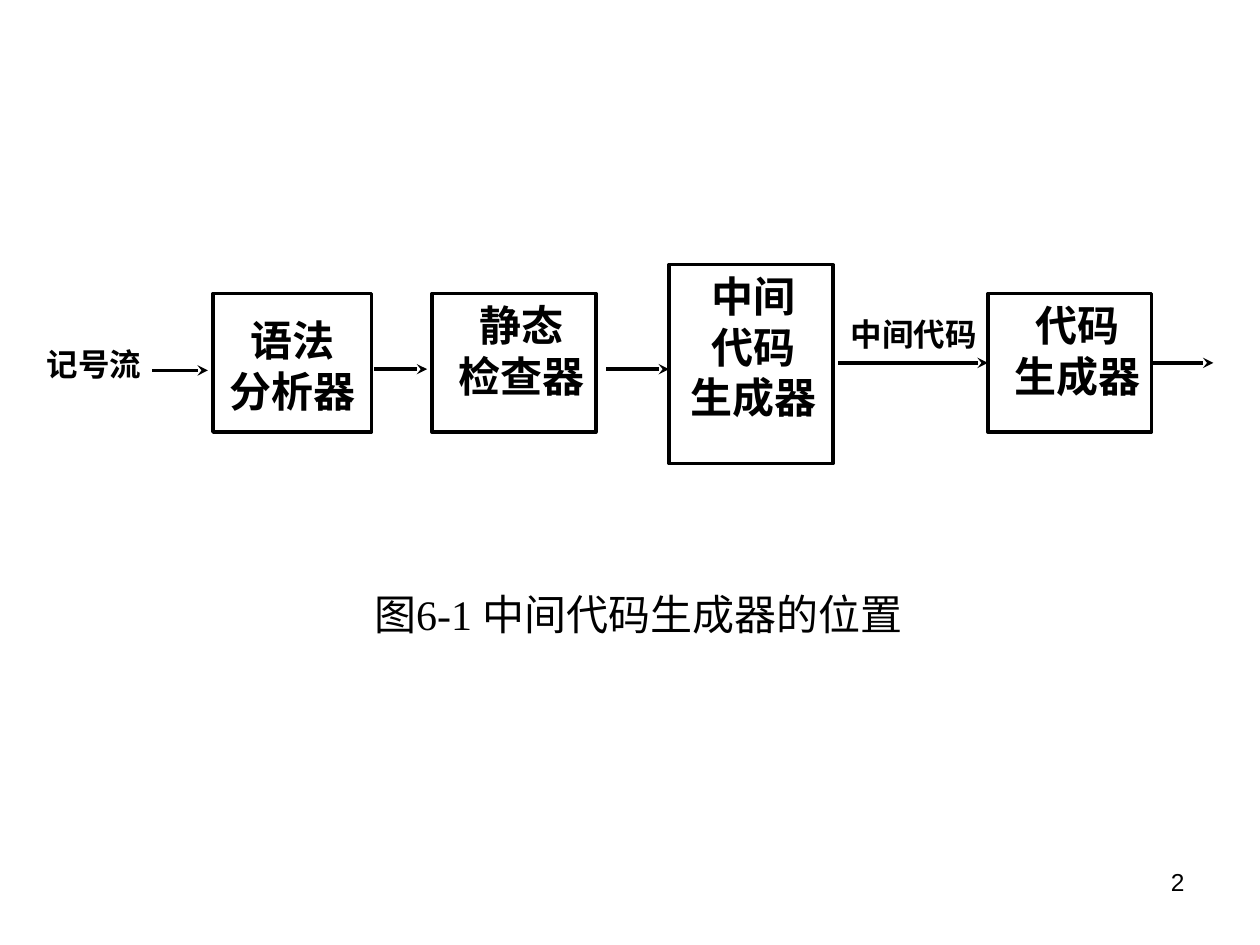
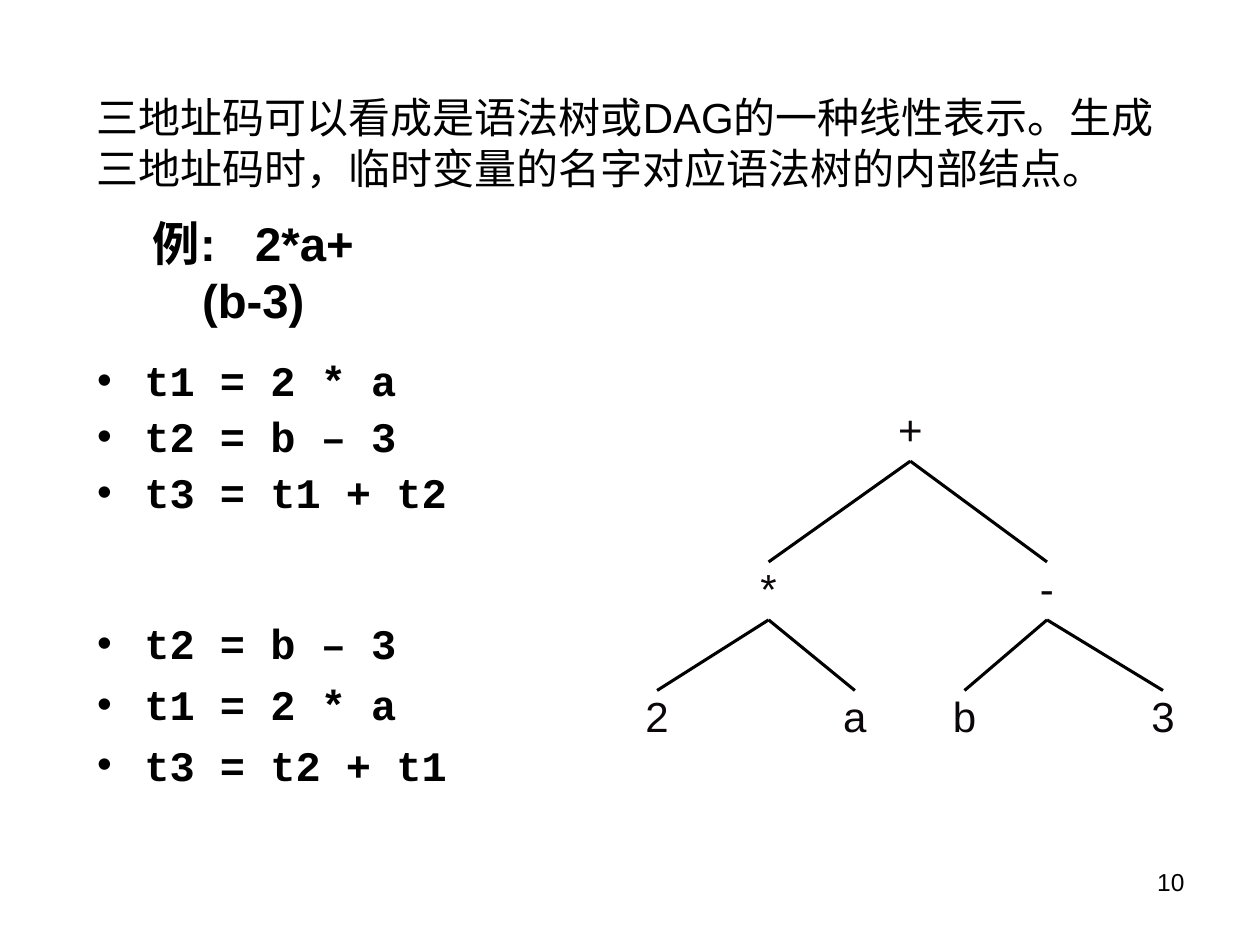
from lxml.etree import SubElement
from pptx import Presentation
from pptx.dml.color import RGBColor
from pptx.enum.shapes import MSO_CONNECTOR, MSO_SHAPE
from pptx.enum.text import MSO_ANCHOR, MSO_AUTO_SIZE, PP_ALIGN
from pptx.oxml.ns import qn
from pptx.util import Pt

PX = 9144  # EMU per px, 100 px to the inch
BLACK, NODE_INK = "000000", "0A060A"
SANS, SERIF, MONO = "Arial", "Times New Roman", "Courier New"
INSETS = (10, 5, 10, 5)
LABEL_INSETS = (2, 1, 10, 5)
TITLE_ONLY, TWO_CONTENT, BLANK = 5, 3, 6
TOP, BOTTOM, LEFT, RIGHT = 0, 2, 1, 3


def rgb(color):
    return RGBColor.from_string(color)


def write(tf, lines, size=24, font=SANS, color=BLACK, bold=False, align=PP_ALIGN.LEFT,
          before=0, spacing=1.0, insets=INSETS, anchor=MSO_ANCHOR.TOP):
    """Fill a text frame, one paragraph per line; a line may be a list of runs."""
    tf.word_wrap = True
    tf.auto_size = MSO_AUTO_SIZE.NONE
    tf.vertical_anchor = anchor
    tf.margin_left, tf.margin_top, tf.margin_right, tf.margin_bottom = (v * PX for v in insets)
    for i, line in enumerate(lines):
        p = tf.add_paragraph() if i else tf.paragraphs[0]
        p.alignment = align
        p.line_spacing = spacing
        p.space_before = Pt(before if i else 0)
        for text in [line] if isinstance(line, str) else line:
            r = p.add_run()
            r.text = text
            r.font.size, r.font.name, r.font.bold = Pt(size), font, bold
            r.font.color.rgb = rgb(color)


class Deck:
    """Holds the presentation, its shared style and the current slide."""

    def __init__(self):
        self.prs = Presentation()
        self.prs.slide_width, self.prs.slide_height = 1000 * PX, 750 * PX
        self.s = None

    def slide(self, layout, number):
        self.s = self.prs.slides.add_slide(self.prs.slide_layouts[layout])
        self.text((717, 683, 233, 52), number, size=14, align=PP_ALIGN.RIGHT)

    def text(self, at, text, **fmt):
        sp = self.s.shapes.add_textbox(*(v * PX for v in at))
        write(sp.text_frame, [text], **fmt)
        return sp

    def box(self, at, lines, insets):
        sp = self.s.shapes.add_shape(MSO_SHAPE.RECTANGLE, *(v * PX for v in at))
        sp.shadow.inherit = False
        sp.fill.background()
        sp.line.color.rgb, sp.line.width = rgb(BLACK), Pt(2)
        write(sp.text_frame, lines, font=SERIF, bold=True, align=PP_ALIGN.CENTER, insets=insets)
        return sp

    def placeholder(self, idx, at, lines, **fmt):
        sp = self.s.placeholders[idx]
        sp.left, sp.top, sp.width, sp.height = (v * PX for v in at)
        write(sp.text_frame, lines, **fmt)
        return sp

    def line(self, start=(0, 0), end=(0, 0), begin=None, finish=None, width=2.0, arrow=False):
        """Draw a line; begin and finish are (shape, side) pairs to join."""
        c = self.s.shapes.add_connector(MSO_CONNECTOR.STRAIGHT, *(v * PX for v in start + end))
        if begin:
            c.begin_connect(*begin)
        if finish:
            c.end_connect(*finish)
        c.line.color.rgb, c.line.width = rgb(BLACK), Pt(width)
        if arrow:
            SubElement(c.line._get_or_add_ln(), qn("a:tailEnd"), type="stealth")
        SubElement(c._element.spPr, qn("a:effectLst"))


def position_slide(deck):
    deck.slide(BLANK, "2")
    deck.text((287, 462, 465, 50), "图6-1 中间代码生成器的位置", font=SERIF)

    deck.box((169, 233, 126, 110), ["语法", "分析器"], (10, 17, 10, 5))
    deck.box((343, 233, 130, 110), ["静态", "检查器"], (14, 5, 2, 1))
    deck.box((531, 210, 130, 158), ["中间", "代码", "生成器"], (6, 5, 2, 1))
    generator = deck.box((784, 233, 130, 110), ["代码", "生成器"], (14, 5, 2, 1))

    for at, label in [((35, 273, 105, 38), "记号流"), ((673, 249, 119, 45), "中间代码")]:
        deck.text(at, label, size=18, font=SERIF, bold=True,
                  align=PP_ALIGN.JUSTIFY, insets=LABEL_INSETS)

    for x1, x2, y in [(121, 165, 294), (297, 339, 293), (481, 531, 293)]:
        deck.line((x1, y), (x2, y), arrow=True)
    deck.line(start=(665, 288), finish=(generator, LEFT), arrow=True)
    deck.line(begin=(generator, RIGHT), end=(963, 288), arrow=True)


def three_address_slide(deck):
    deck.slide(TWO_CONTENT, "10")
    deck.text((67, 68, 866, 90), "三地址码可以看成是语法树或DAG的一种线性表示。"
              "生成三地址码时，临时变量的名字对应语法树的内部结点。")

    title = deck.placeholder(0, (75, 202, 252, 63), [["例:", " ", "2*a+(b-3)"]], size=27,
                             bold=True, align=PP_ALIGN.CENTER, anchor=MSO_ANCHOR.BOTTOM)
    gap = title.text_frame.paragraphs[0].runs[1]
    gap.font._element.set("spc", "1500")

    code = dict(font=MONO, bold=True, before=6)
    deck.placeholder(1, (67, 281, 307, 141),
                     ["t1 = 2 * a", "t2 = b – 3", "t3 = t1 + t2"], spacing=0.9, **code)
    deck.placeholder(2, (67, 485, 400, 150),
                     ["t2 = b – 3", "t1 = 2 * a", "t3 = t2 + t1"], **code)

    tree = [("+", 634, 320, 177), ("*", 547, 446, 126), ("-", 776, 446, 110),
            ("2", 445, 548, 153), ("a", 602, 548, 153),
            ("b", 689, 548, 153), ("3", 846, 548, 154)]
    nodes = {name: deck.text((x, y, w, 46), name, color=NODE_INK,
                             align=PP_ALIGN.CENTER, spacing=0.9)
             for name, x, y, w in tree}
    for parent, children in [("+", "*-"), ("*", "2a"), ("-", "b3")]:
        for child in children:
            deck.line(begin=(nodes[parent], BOTTOM), finish=(nodes[child], TOP), width=1.75)


def main():
    deck = Deck()
    position_slide(deck)
    three_address_slide(deck)
    deck.prs.save("out.pptx")


if __name__ == "__main__":
    main()
